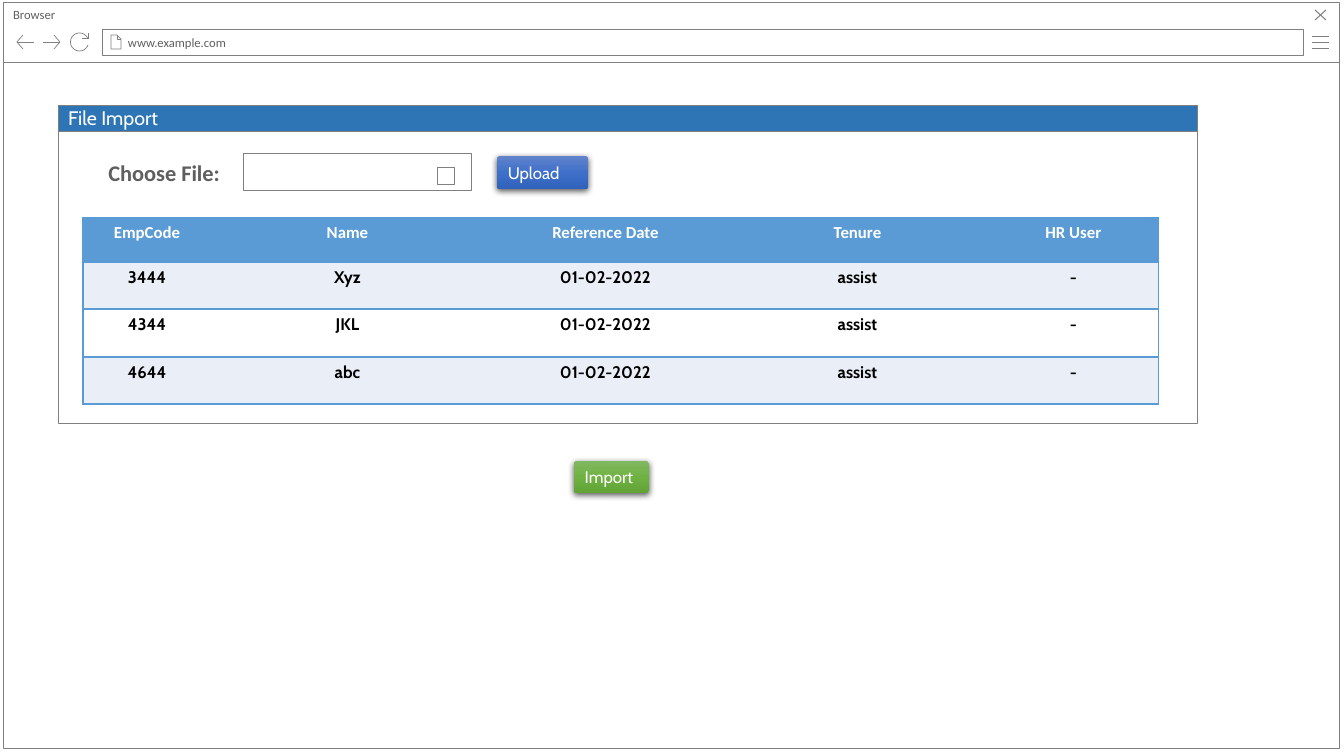
from math import cos, radians, sin

from lxml import etree
from pptx import Presentation
from pptx.dml.color import RGBColor
from pptx.enum.shapes import MSO_SHAPE
from pptx.enum.text import MSO_ANCHOR, PP_ALIGN
from pptx.oxml import parse_xml
from pptx.oxml.ns import nsdecls, qn
from pptx.util import Emu, Pt

RECT, ROUND = MSO_SHAPE.RECTANGLE, MSO_SHAPE.ROUNDED_RECTANGLE
TOP, MIDDLE = MSO_ANCHOR.TOP, MSO_ANCHOR.MIDDLE
LEFT, CENTER, RIGHT = PP_ALIGN.LEFT, PP_ALIGN.CENTER, PP_ALIGN.RIGHT
PX = 914400 / 100.8
FINE = 10  # freeform units per pixel

HEX = {"white": "FFFFFF", "black": "000000", "line": "808080", "text": "5F5F5F",
       "head": "2E75B6", "grid": "5B9BD5", "band": "EAEFF7"}

# Reload arrow: an arc that ends at the corner of its arrowhead
ARC = [(79.5 + 9 * cos(radians(a)), 42 + 9 * sin(radians(a))) for a in range(20, 336, 9)]
ICONS = [  # line width, strokes
    (0.5, [[(1312, y), (1329, y)] for y in (36, 42, 48)]),
    (0.75, [[(1315, 10), (1326, 20)], [(1326, 10), (1315, 20)]]),
    (0.5, [[(117, 35), (117, 39), (121, 39)],
           [(111, 35), (111, 49), (121, 49), (121, 39), (117, 35), (111, 35)]]),
    (0.5, [[(23, 49), (17, 42), (23, 35)], [(17, 42), (34, 42)]]),
    (0.5, [[(54, 35), (60, 42), (54, 49)], [(60, 42), (43, 42)]]),
    (0.5, [[(88, 33), (88, 38), (82, 38)], ARC + [(88, 38)]]),
]
BUTTONS = [  # label, place, gradient
    ("Import", (574, 461, 75, 32), ("81B861", "6FB242", "62A336")),
    ("Upload", (497, 156, 91, 33), ("6183CB", "3E70CA", "3062BB")),
]
ROWS = [
    ("EmpCode", "Name", "Reference Date", "Tenure", "HR User"),
    ("3444", "Xyz", "01-02-2022", "assist", "-"),
    ("4344", "JKL", "01-02-2022", "assist", "-"),
    ("4644", "abc", "01-02-2022", "assist", "-"),
]
WIDTHS = (128, 273, 243, 261, 171)
HEIGHTS = (44, 47, 48, 47)


def emu(px):
    """Turn pixels into EMU."""
    return Emu(round(px * PX))


def rgb(name):
    """Look up a colour by name."""
    return RGBColor.from_string(HEX[name])


def write(frame, text, size, font, tint, bold=False, align=LEFT):
    """Add one run to the first paragraph of a frame."""
    frame.word_wrap = True
    para = frame.paragraphs[0]
    para.alignment = align
    run = para.add_run()
    run.text = text
    run.font.size, run.font.name, run.font.bold = Pt(size), font, bold
    run.font.color.rgb = rgb(tint)


def style(shape, width, fill=None):
    """Give a shape a grey outline, an optional fill and no shadow."""
    shape.shadow.inherit = False
    shape.line.color.rgb = rgb("line")
    shape.line.width = Pt(width)
    if fill:
        shape.fill.solid()
        shape.fill.fore_color.rgb = rgb(fill)
    else:
        shape.fill.background()


def box(shapes, place, fill="white"):
    """Add an outlined rectangle."""
    shape = shapes.add_shape(RECT, *map(emu, place))
    style(shape, 0.5, fill)
    return shape


def label(shape, text, size, font, tint, anchor, left=10):
    """Write into a bar with its own left inset."""
    frame = shape.text_frame
    frame.margin_left, frame.margin_right = emu(left), emu(20)
    frame.vertical_anchor = anchor
    write(frame, text, size, font, tint)


def icon(shapes, width, strokes):
    """Draw open strokes as one freeform."""
    pen = None
    for stroke in strokes:
        pts = [(x * FINE, y * FINE) for x, y in stroke]
        if pen is None:
            pen = shapes.build_freeform(*pts[0], scale=PX / FINE)
        else:
            pen.move_to(*pts[0])
        pen.add_line_segments(pts[1:], close=False)
    style(pen.convert_to_shape(), width)


def button(shapes, text, place, tones):
    """Add a rounded gradient button with a soft shadow."""
    shape = shapes.add_shape(ROUND, *map(emu, place))
    shape.adjustments[0] = 0.09
    shape.line.fill.background()
    shape.shadow.inherit = False
    stops = "".join(f'<a:gs pos="{i * 50000}"><a:srgbClr val="{tone}"/></a:gs>'
                    for i, tone in enumerate(tones))
    prop = shape._element.spPr
    prop.find(qn("a:ln")).addprevious(parse_xml(
        f'<a:gradFill {nsdecls("a")} rotWithShape="1"><a:gsLst>{stops}</a:gsLst>'
        '<a:lin ang="5400000" scaled="0"/></a:gradFill>'))
    prop.find(qn("a:effectLst")).append(parse_xml(
        f'<a:outerShdw {nsdecls("a")} blurRad="{Pt(4.5)}" dist="{Pt(1.5)}" dir="5400000" '
        f'rotWithShape="0"><a:srgbClr val="{HEX["black"]}"><a:alpha val="63000"/>'
        '</a:srgbClr></a:outerShdw>'))
    shape.text_frame.vertical_anchor = MIDDLE
    write(shape.text_frame, text, 12, "Cabin", "white")


def edge(cell, sides):
    """Draw the named sides of a cell and hide the others."""
    prop = cell._tc.get_or_add_tcPr()
    for i, side in enumerate("LRTB"):
        line = etree.Element(qn("a:ln" + side), w=str(Pt(1)))
        if side in sides:
            fill = etree.SubElement(line, qn("a:solidFill"))
            etree.SubElement(fill, qn("a:srgbClr"), val=HEX["grid"])
        else:
            etree.SubElement(line, qn("a:noFill"))
        prop.insert(i, line)


def grid(shapes, left, top):
    """Add the table of employees."""
    size = map(emu, (left, top, sum(WIDTHS), sum(HEIGHTS)))
    table = shapes.add_table(len(ROWS), len(WIDTHS), *size).table
    table.first_row = table.horz_banding = False
    for col, width in zip(table.columns, WIDTHS):
        col.width = emu(width)
    for r, row in enumerate(ROWS):
        table.rows[r].height = emu(HEIGHTS[r])
        fill = "grid" if r == 0 else "band" if r % 2 else "white"
        font, tint = ("Cabin", "black") if r else ("Calibri", "white")
        for c, text in enumerate(row):
            cell = table.cell(r, c)
            cell.fill.solid()
            cell.fill.fore_color.rgb = rgb(fill)
            write(cell.text_frame, text, 12, font, tint, True, CENTER)
            edge(cell, "TB" + "L" * (c == 0) + "R" * (c == len(row) - 1))


deck = Presentation()
deck.slide_width, deck.slide_height = emu(1344), emu(756)
shapes = deck.slides.add_slide(deck.slide_layouts[6]).shapes

browser = shapes.add_group_shape().shapes
box(browser, (3, 62, 1336, 686))
label(box(browser, (3, 2, 1336, 60)), "Browser", 9, "Calibri", "text", TOP)
label(box(browser, (102, 29, 1201, 26)), "www.example.com", 9, "Calibri", "text", MIDDLE, 26)
for width, strokes in ICONS:
    icon(browser, width, strokes)

panel = shapes.add_group_shape().shapes
box(panel, (58, 131, 1139, 292))
label(box(panel, (58, 105, 1139, 26), "head"), "File Import", 14, "Cabin", "white", MIDDLE)

prompt = shapes.add_textbox(*map(emu, (88, 154, 142, 37)))
write(prompt.text_frame, "Choose File:", 16, "Calibri", "text", True, RIGHT)
box(shapes, (243, 153, 228, 37))
style(shapes.add_shape(RECT, *map(emu, (438, 168, 17, 17))), 0.75)
for text, place, tones in BUTTONS:
    button(shapes, text, place, tones)
grid(shapes, 83, 218)

deck.save("out.pptx")
